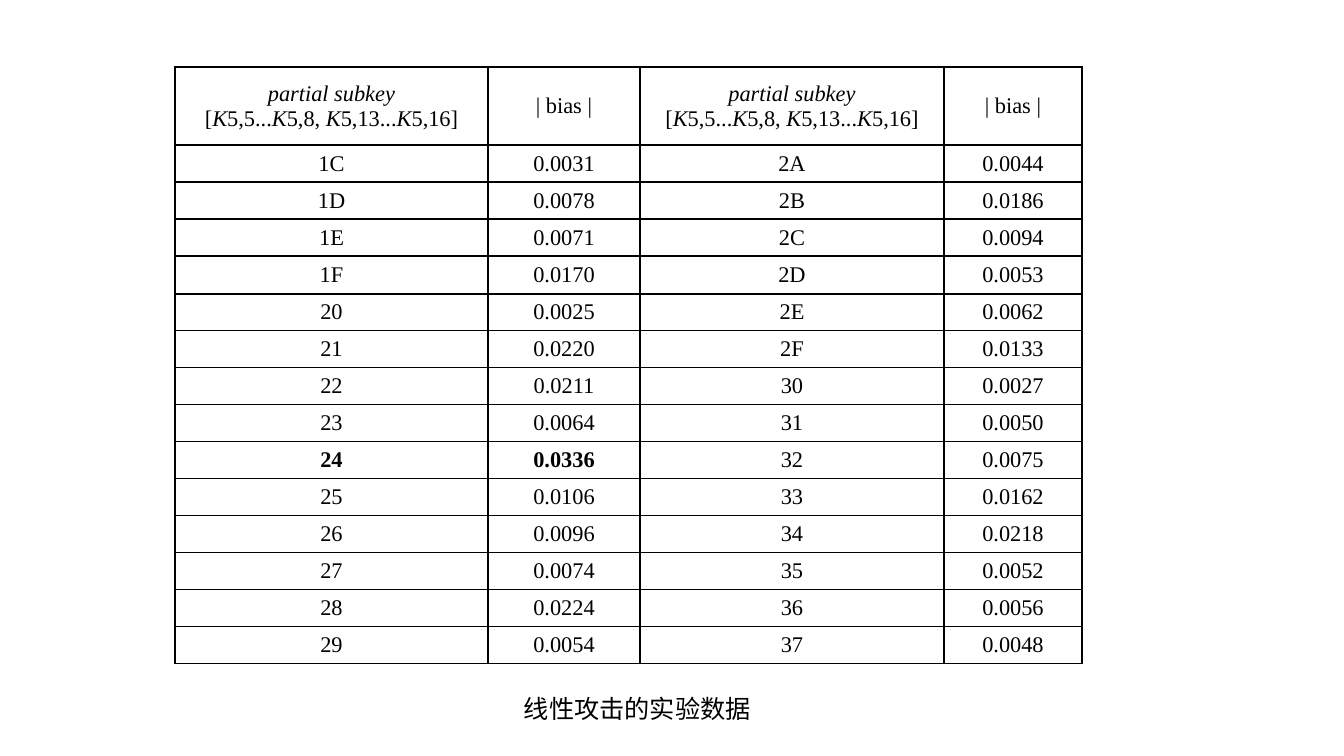
from dataclasses import dataclass
from lxml.etree import SubElement as Sub
from pptx import Presentation
from pptx.dml.color import RGBColor as RGB
from pptx.enum.text import MSO_ANCHOR as Anchor, MSO_AUTO_SIZE as Auto, PP_ALIGN as Align
from pptx.oxml.ns import qn
from pptx.util import Pt


@dataclass
class Theme:
    face: str = "Times New Roman"
    ink: str = "000000"
    body: int = 16
    note: int = 18
    rule: int = 1


theme = Theme()


def px(n):
    return round(n * 914400 / 100.8)


def style(para, size, bold=None):
    font = para.font
    font.name = theme.face
    font.size = Pt(size)
    font.color.rgb = RGB.from_string(theme.ink)
    font.bold = bold


deck = Presentation()
deck.slide_width, deck.slide_height = px(1344), px(756)
slide = deck.slides.add_slide(deck.slide_layouts[6])

key = "~partial subkey~\n[~K~5,5...~K~5,8, ~K~5,13...~K~5,16]"
left = """0.0031 0.0078 0.0071 0.0170 0.0025 0.0220 0.0211
0.0064 0.0336 0.0106 0.0096 0.0074 0.0224 0.0054""".split()
right = """0.0044 0.0186 0.0094 0.0053 0.0062 0.0133 0.0027
0.0050 0.0075 0.0162 0.0218 0.0052 0.0056 0.0048""".split()
rows = [[key, "| bias |"] * 2]
for i, (a, b) in enumerate(zip(left, right)):
    rows.append([f"{0x1C + i:X}", a, f"{0x2A + i:X}", b])
best = max(left + right)

wide = [313, 152, 304, 138]
high = [78] + [37] * 14
high[4] = 38
frame = slide.shapes.add_table(len(high), len(wide), px(175), px(67), px(sum(wide)), px(sum(high)))
table = frame.table
table.first_row = table.horz_banding = False
for col, w in zip(table.columns, wide):
    col.width = px(w)
for row, h in zip(table.rows, high):
    row.height = px(h)

for r, row in enumerate(rows):
    for c, text in enumerate(row):
        cell = table.cell(r, c)
        cell.vertical_anchor = Anchor.MIDDLE
        props = cell._tc.get_or_add_tcPr()
        for side in ("lnL", "lnR", "lnT", "lnB"):
            line = Sub(props, qn(f"a:{side}"), w=str(Pt(theme.rule)))
            Sub(Sub(line, qn("a:solidFill")), qn("a:srgbClr"), val=theme.ink)
        cell.fill.background()
        bold = best in row and c < 2
        for n, part in enumerate(text.split("\n")):
            para = cell.text_frame.add_paragraph() if n else cell.text_frame.paragraphs[0]
            para.alignment = Align.CENTER
            style(para, theme.body, bold)
            for k, bit in enumerate(part.split("~")):
                if bit:
                    run = para.add_run()
                    run.text = bit
                    if k % 2:
                        run.font.italic = True

note = slide.shapes.add_textbox(px(514), px(688), px(254), px(40)).text_frame
note.word_wrap = False
note.auto_size = Auto.SHAPE_TO_FIT_TEXT
note.vertical_anchor = Anchor.MIDDLE
note.text = "线性攻击的实验数据"
style(note.paragraphs[0], theme.note)

deck.save("out.pptx")
